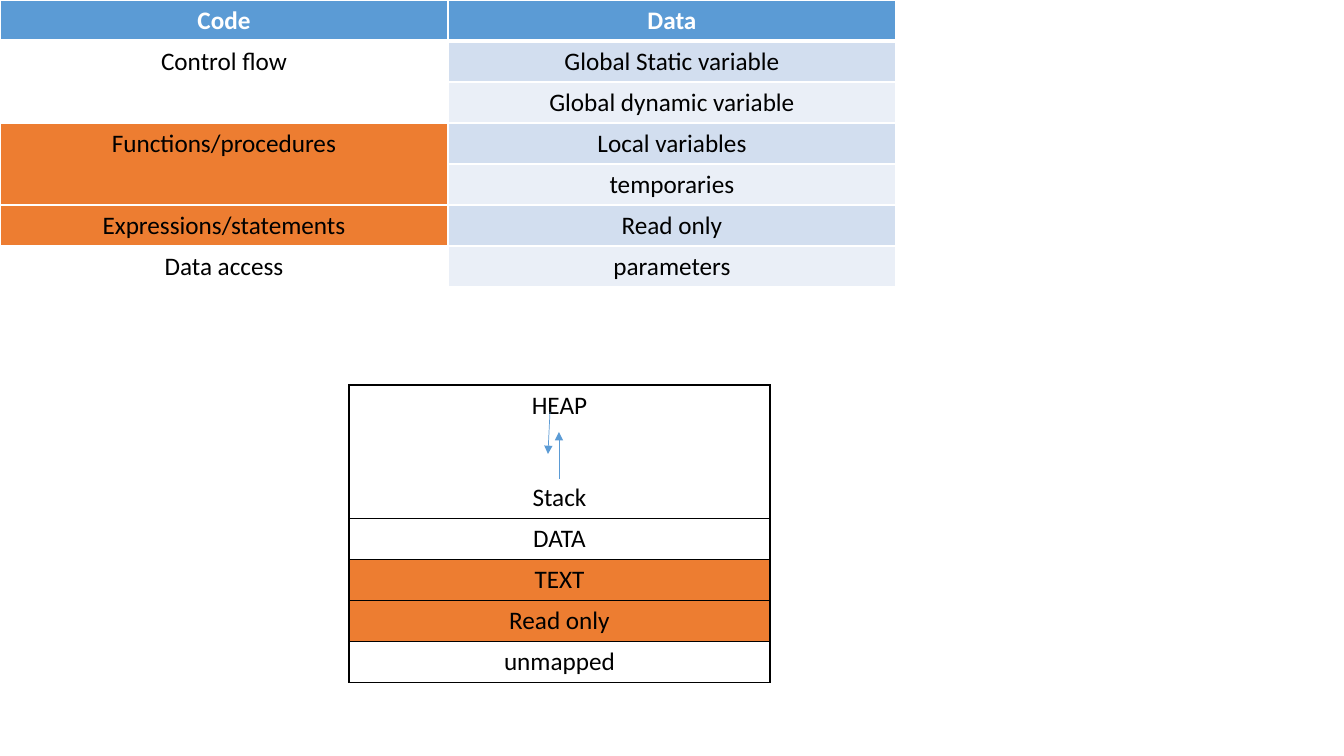
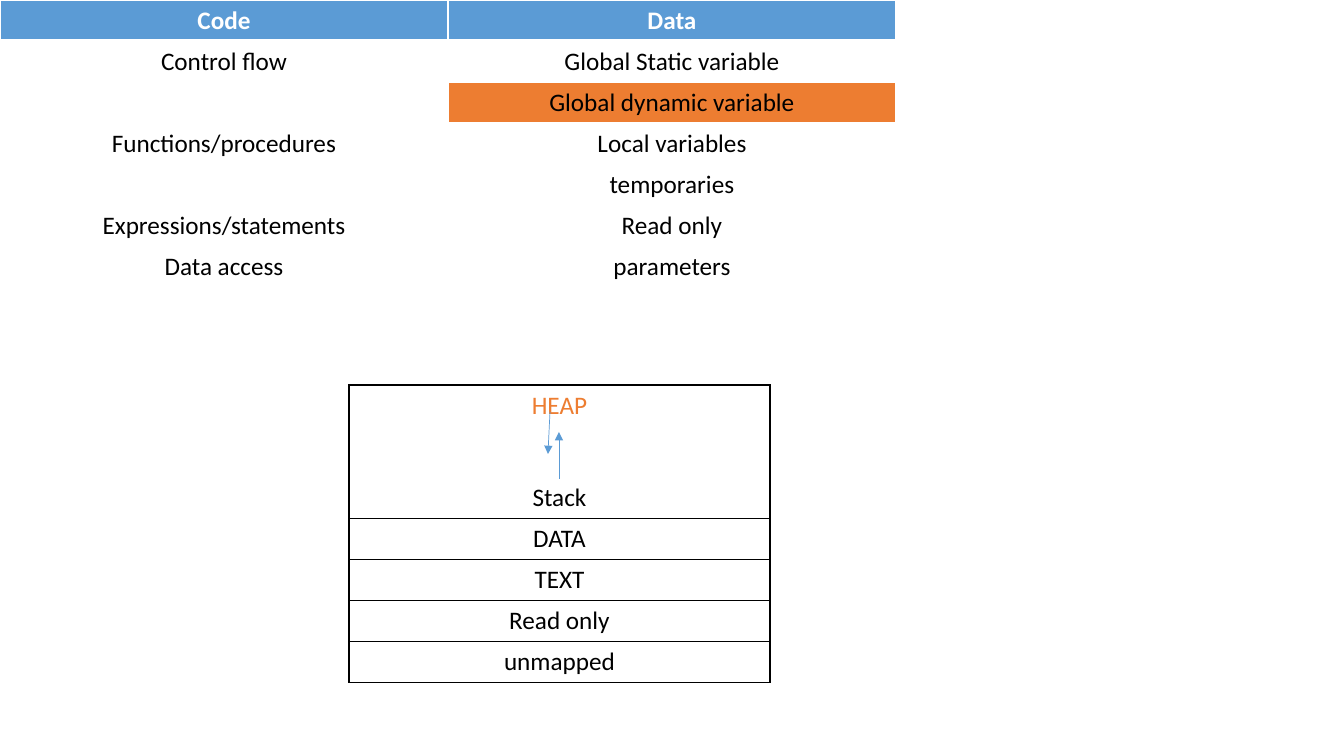
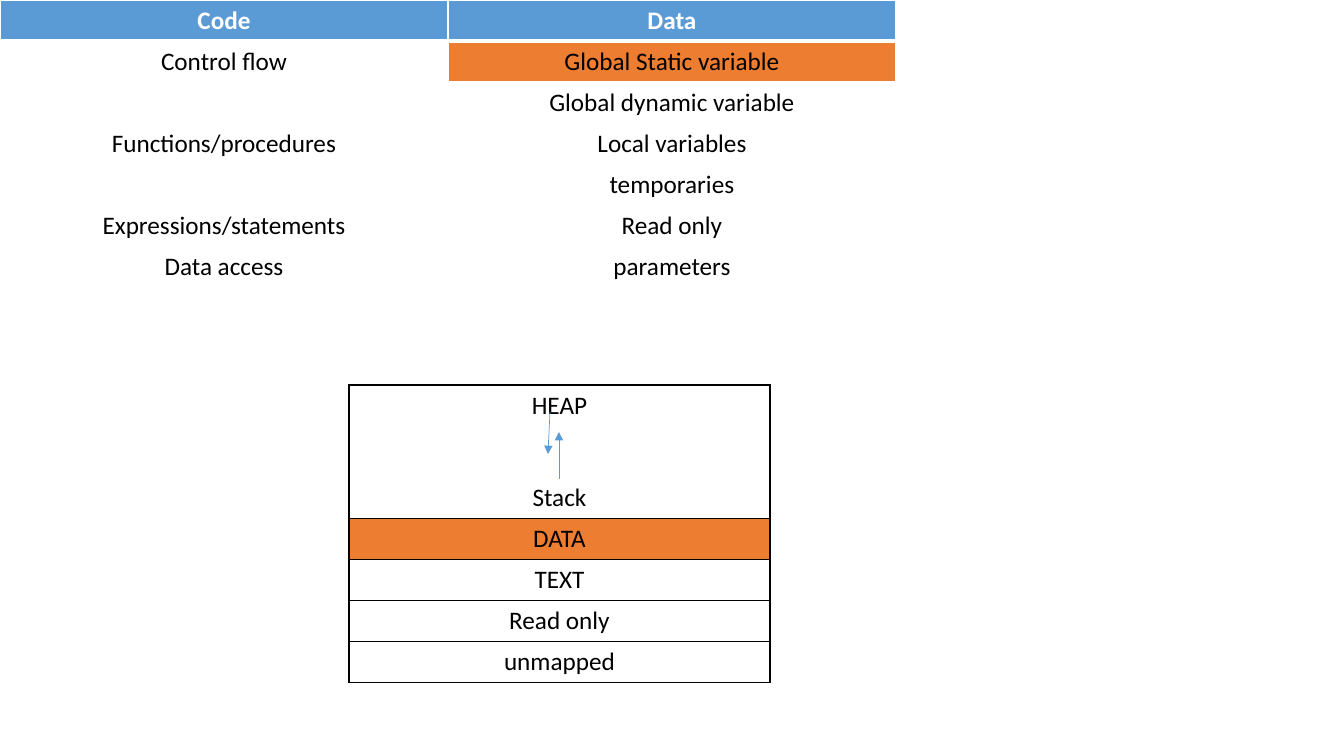
from dataclasses import dataclass

from lxml import etree
from pptx import Presentation
from pptx import table as tb
from pptx import util as u
from pptx.dml.color import RGBColor
from pptx.enum import shapes, text
from pptx.oxml import ns
from pptx.slide import Slide

EMU_PER_PX = 914400 / 100.8
SLIDE_SIZE = (1344, 756)

WHITE = RGBColor(0xFF, 0xFF, 0xFF)
BLACK = RGBColor(0x00, 0x00, 0x00)
BLUE = RGBColor(0x5B, 0x9B, 0xD5)
ORANGE = RGBColor(0xED, 0x7D, 0x31)
BAND_DARK = RGBColor(0xD2, 0xDE, 0xEF)
BAND_LIGHT = RGBColor(0xEA, 0xEF, 0xF7)

FONT = "Calibri"
TEXT_PT = 18
ROW_H = 41

MAPPING_COL_W = 448
HEADINGS = ("Code", "Data")
# Code construct and the number of rows it spans
CODE_ROWS = (
    ("Control flow", 2),
    ("Functions/procedures", 2),
    ("Expressions/statements", 1),
    ("Data access", 1),
)
DATA_ROWS = (
    "Global Static variable",
    "Global dynamic variable",
    "Local variables",
    "temporaries",
    "Read only",
    "parameters",
)

MEMORY_LEFT, MEMORY_TOP, MEMORY_W = 349, 385, 421
HEAP_STACK_H = 133
HEAP_STACK_GAP_PT = 44
SEGMENTS = ("DATA", "TEXT", "Read only", "unmapped")


@dataclass(frozen=True)
class Arrow:
    start: tuple[int, int]
    end: tuple[int, int]


GROWTH_ARROWS = (
    Arrow((550, 412), (548, 454)),  # heap grows down
    Arrow((559, 479), (559, 432)),  # stack grows up
)


@dataclass(frozen=True)
class Step:
    """What one slide highlights in the mapping and in memory."""

    code: frozenset[str] = frozenset()
    data: frozenset[str] = frozenset()
    segments: frozenset[str] = frozenset()
    heap_color: RGBColor = BLACK
    data_bands: tuple[RGBColor, RGBColor] = (WHITE, WHITE)


STEPS = (
    Step(
        code=frozenset({"Functions/procedures", "Expressions/statements"}),
        segments=frozenset({"TEXT", "Read only"}),
        data_bands=(BAND_DARK, BAND_LIGHT),
    ),
    Step(data=frozenset({"Global dynamic variable"}), heap_color=ORANGE),
    Step(
        data=frozenset({"Global Static variable"}),
        segments=frozenset({"DATA"}),
    ),
)


def px(length: int) -> u.Emu:
    return u.Emu(round(length * EMU_PER_PX))


def add_grid(
    slide: Slide, left: int, top: int, col_widths: list[int], row_heights: list[int]
) -> tb.Table:
    """Add a table without the default banding."""
    frame = slide.shapes.add_table(
        len(row_heights), len(col_widths),
        px(left), px(top), px(sum(col_widths)), px(sum(row_heights)),
    )
    grid = frame.table
    grid.first_row = grid.horz_banding = False
    for column, width in zip(grid.columns, col_widths):
        column.width = px(width)
    for row, height in zip(grid.rows, row_heights):
        row.height = px(height)
    return grid


def style_cell(
    cell: tb._Cell, fill: RGBColor, border: RGBColor, top_pt: int = 1, bottom_pt: int = 1
) -> None:
    properties = cell._tc.get_or_add_tcPr()
    for side, width in (("L", 1), ("R", 1), ("T", top_pt), ("B", bottom_pt)):
        line = etree.SubElement(properties, ns.qn(f"a:ln{side}"), w=str(u.Pt(width)))
        solid = etree.SubElement(line, ns.qn("a:solidFill"))
        etree.SubElement(solid, ns.qn("a:srgbClr"), val=str(border))
    cell.fill.solid()
    cell.fill.fore_color.rgb = fill


def write_line(
    cell: tb._Cell, words: str, color: RGBColor = BLACK, bold: bool = False, gap_pt: int = 0
) -> None:
    """Write a centred paragraph, below any text the cell already has."""
    frame = cell.text_frame
    paragraph = frame.add_paragraph() if frame.text else frame.paragraphs[0]
    paragraph.alignment = text.PP_ALIGN.CENTER
    paragraph.space_before = u.Pt(gap_pt)
    run = paragraph.add_run()
    run.text = words
    run.font.name = FONT
    run.font.size = u.Pt(TEXT_PT)
    run.font.bold = bold
    run.font.color.rgb = color


def add_mapping(slide: Slide, step: Step) -> None:
    """Add the table of code constructs and kinds of data."""
    grid = add_grid(
        slide, 0, 0, [MAPPING_COL_W] * len(HEADINGS), [ROW_H] * (len(DATA_ROWS) + 1)
    )
    for col, heading in enumerate(HEADINGS):
        style_cell(grid.cell(0, col), BLUE, WHITE, bottom_pt=3)
        write_line(grid.cell(0, col), heading, WHITE, bold=True)

    row = 1
    for construct, span in CODE_ROWS:
        fill = ORANGE if construct in step.code else WHITE
        for part in range(row, row + span):
            style_cell(grid.cell(part, 0), fill, WHITE, top_pt=3 if part == 1 else 1)
        if span > 1:
            grid.cell(row, 0).merge(grid.cell(row + span - 1, 0))
        write_line(grid.cell(row, 0), construct)
        row += span

    for row, kind in enumerate(DATA_ROWS, start=1):
        fill = ORANGE if kind in step.data else step.data_bands[(row - 1) % 2]
        style_cell(grid.cell(row, 1), fill, WHITE, top_pt=3 if row == 1 else 1)
        write_line(grid.cell(row, 1), kind)


def add_memory(slide: Slide, step: Step) -> None:
    """Add the memory layout, with heap and stack sharing the top row."""
    grid = add_grid(
        slide, MEMORY_LEFT, MEMORY_TOP, [MEMORY_W], [HEAP_STACK_H] + [ROW_H] * len(SEGMENTS)
    )
    heap_stack = grid.cell(0, 0)
    style_cell(heap_stack, WHITE, BLACK)
    write_line(heap_stack, "HEAP", step.heap_color)
    write_line(heap_stack, "Stack", gap_pt=HEAP_STACK_GAP_PT)
    for row, segment in enumerate(SEGMENTS, start=1):
        style_cell(grid.cell(row, 0), ORANGE if segment in step.segments else WHITE, BLACK)
        write_line(grid.cell(row, 0), segment)


def add_arrow(slide: Slide, arrow: Arrow) -> None:
    connector = slide.shapes.add_connector(
        shapes.MSO_CONNECTOR.STRAIGHT, *map(px, arrow.start + arrow.end)
    )
    connector.line.color.rgb = BLUE
    connector.line.width = u.Pt(0.5)
    etree.SubElement(connector.line._get_or_add_ln(), ns.qn("a:tailEnd"), type="triangle")
    etree.SubElement(connector._element.spPr, ns.qn("a:effectLst"))


def main() -> None:
    deck = Presentation()
    deck.slide_width, deck.slide_height = map(px, SLIDE_SIZE)
    blank = deck.slide_layouts[6]
    for step in STEPS:
        slide = deck.slides.add_slide(blank)
        add_mapping(slide, step)
        add_memory(slide, step)
        for arrow in GROWTH_ARROWS:
            add_arrow(slide, arrow)
    deck.save("out.pptx")


if __name__ == "__main__":
    main()
